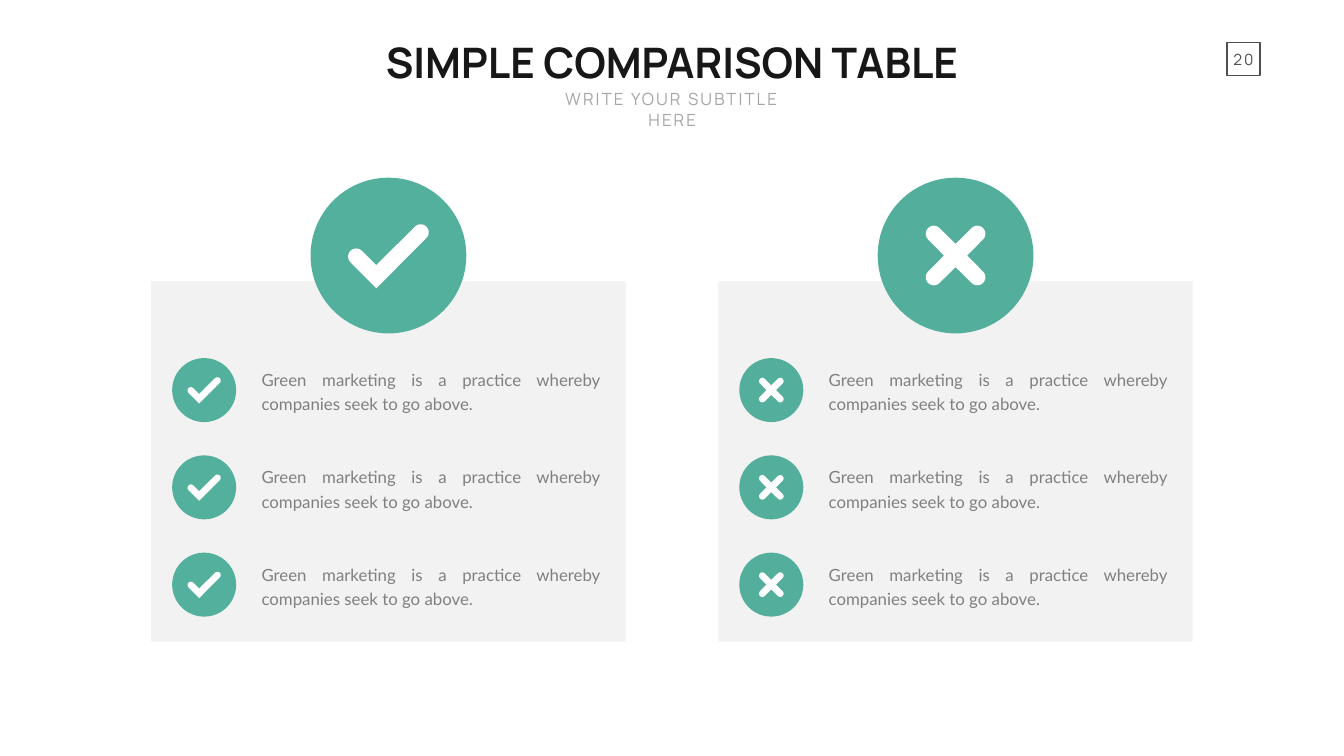
from math import cos, radians, sin

from pptx import Presentation
from pptx.dml.color import RGBColor
from pptx.enum.shapes import MSO_SHAPE
from pptx.enum.text import MSO_ANCHOR, MSO_AUTO_SIZE, PP_ALIGN
from pptx.util import Inches, Pt

TITLE = "SIMPLE COMPARISON TABLE"
SUBTITLE = "WRITE YOUR SUBTITLE HERE"
PAGE_NUMBER = "20"
STATEMENT = "Green marketing is a practice whereby companies seek to go above."
COLUMNS = [
    {"mark": "check", "color": "53B09C", "items": [STATEMENT] * 3},
    {"mark": "cross", "color": "53AF9C", "items": [STATEMENT] * 3},
]

PANEL_LEFT, PANEL_TOP, PANEL_WIDTH, PANEL_HEIGHT = 3, 5.58, 9.41, 7.15
COLUMN_PITCH, ROW_PITCH = 11.25, 1.93
BADGE_SIZE, BULLET_SIZE = 3.09, 1.27
BADGE_CENTER_Y, BULLET_CENTER_Y = 5.07, 7.74
BULLET_OFFSET, TEXT_OFFSET = 1.05, 2.09
TEXT_TOP, TEXT_WIDTH, TEXT_HEIGHT = 7.22, 6.91, 1.03
CAP_RADIUS = 0.16


def rgb(color):
    """Turn a hex string into a colour."""
    return RGBColor.from_string(color)


def polar(x, y, radius, angle):
    """Return the point at an angle in degrees around a centre."""
    return x + radius * cos(radians(angle)), y + radius * sin(radians(angle))


def round_cap(x, y, start):
    """Return the points of a half circle that ends one arm of a mark."""
    return [polar(x, y, CAP_RADIUS, start + step) for step in range(0, 181, 15)]


def check_outline():
    """Return the check mark as points around the badge centre."""
    return [(-0.24, 0.65), *round_cap(-0.64, 0.02, 135),
            (-0.24, 0.19), *round_cap(0.64, -0.46, 225)]


def cross_outline():
    """Return the cross as points around the badge centre."""
    points = []
    for angle in range(45, 405, 90):
        points += round_cap(*polar(0, 0, 0.61, angle), angle - 90)
        points.append(polar(0, 0, 0.23, angle + 45))
    return points


OUTLINES = {"check": check_outline(), "cross": cross_outline()}


def paint(shape, color):
    """Fill a shape with a flat colour and no line or shadow."""
    shape.shadow.inherit = False
    shape.fill.solid()
    shape.fill.fore_color.rgb = rgb(color)
    shape.line.fill.background()


def add_panel(page, kind, left, top, width, height, color):
    """Add a flat preset shape."""
    shape = page.shapes.add_shape(kind, Inches(left), Inches(top), Inches(width), Inches(height))
    paint(shape, color)
    return shape


def add_badge(page, mark, center_x, center_y, size, color):
    """Add a disc with a white mark at its centre."""
    add_panel(page, MSO_SHAPE.OVAL, center_x - size / 2, center_y - size / 2, size, size, color)
    scale = size / BADGE_SIZE
    points = [(Inches(center_x + x * scale), Inches(center_y + y * scale))
              for x, y in OUTLINES[mark]]
    builder = page.shapes.build_freeform(*points[0])
    builder.add_line_segments(points[1:], close=True)
    paint(builder.convert_to_shape(), "FFFFFF")


def write(box, text, font, size, color, align, bold=False, spacing=0):
    """Write one formatted paragraph and return it."""
    box.text_frame.word_wrap = True
    para = box.text_frame.paragraphs[0]
    para.text = text
    para.alignment = align
    span = para.runs[0]
    span.font.name, span.font.size, span.font.bold = font, Pt(size), bold
    span.font.color.rgb = rgb(color)
    if spacing:
        span.font._element.set("spc", str(spacing * 100))
    return para


def add_text_box(page, left, top, width, height):
    """Add an empty text box that grows with its text."""
    box = page.shapes.add_textbox(Inches(left), Inches(top), Inches(width), Inches(height))
    box.text_frame.auto_size = MSO_AUTO_SIZE.SHAPE_TO_FIT_TEXT
    return box


def add_heading(page):
    """Add the title, the subtitle and the framed page number."""
    write(add_text_box(page, 7.41, 0.67, 11.84, 1.11), TITLE,
          "Manrope", 60, "171717", PP_ALIGN.CENTER, bold=True)
    write(add_text_box(page, 10.62, 1.72, 5.43, 0.5), SUBTITLE,
          "Manrope", 24, "A6A6A6", PP_ALIGN.CENTER, spacing=3)
    frame = add_panel(page, MSO_SHAPE.RECTANGLE, 24.34, 0.84, 0.65, 0.66, "FFFFFF")
    frame.fill.background()
    frame.line.color.rgb = rgb("4B5050")
    frame.line.width = Pt(2)
    area = frame.text_frame
    area.margin_left = area.margin_right = area.margin_top = area.margin_bottom = 0
    area.vertical_anchor = MSO_ANCHOR.MIDDLE
    write(frame, PAGE_NUMBER, "Manrope", 22, "4B5050", PP_ALIGN.CENTER, spacing=3)


def add_column(page, left, column):
    """Add one panel with its large badge and its marked statements."""
    mark, color = column["mark"], column["color"]
    add_panel(page, MSO_SHAPE.RECTANGLE, left, PANEL_TOP, PANEL_WIDTH, PANEL_HEIGHT, "F2F2F2")
    add_badge(page, mark, left + PANEL_WIDTH / 2, BADGE_CENTER_Y, BADGE_SIZE, color)
    for row, statement in enumerate(column["items"]):
        shift = row * ROW_PITCH
        add_badge(page, mark, left + BULLET_OFFSET, BULLET_CENTER_Y + shift, BULLET_SIZE, color)
        box = add_text_box(page, left + TEXT_OFFSET, TEXT_TOP + shift, TEXT_WIDTH, TEXT_HEIGHT)
        box.text_frame.vertical_anchor = MSO_ANCHOR.MIDDLE
        para = write(box, statement, "Lato", 24, "808080", PP_ALIGN.JUSTIFY)
        para.line_spacing = Pt(35)


def main():
    """Build the comparison slide and save it."""
    deck = Presentation()
    deck.slide_width, deck.slide_height = Inches(26.66), Inches(15)
    page = deck.slides.add_slide(deck.slide_layouts[6])
    add_heading(page)
    for index, column in enumerate(COLUMNS):
        add_column(page, PANEL_LEFT + index * COLUMN_PITCH, column)
    deck.save("out.pptx")


if __name__ == "__main__":
    main()
